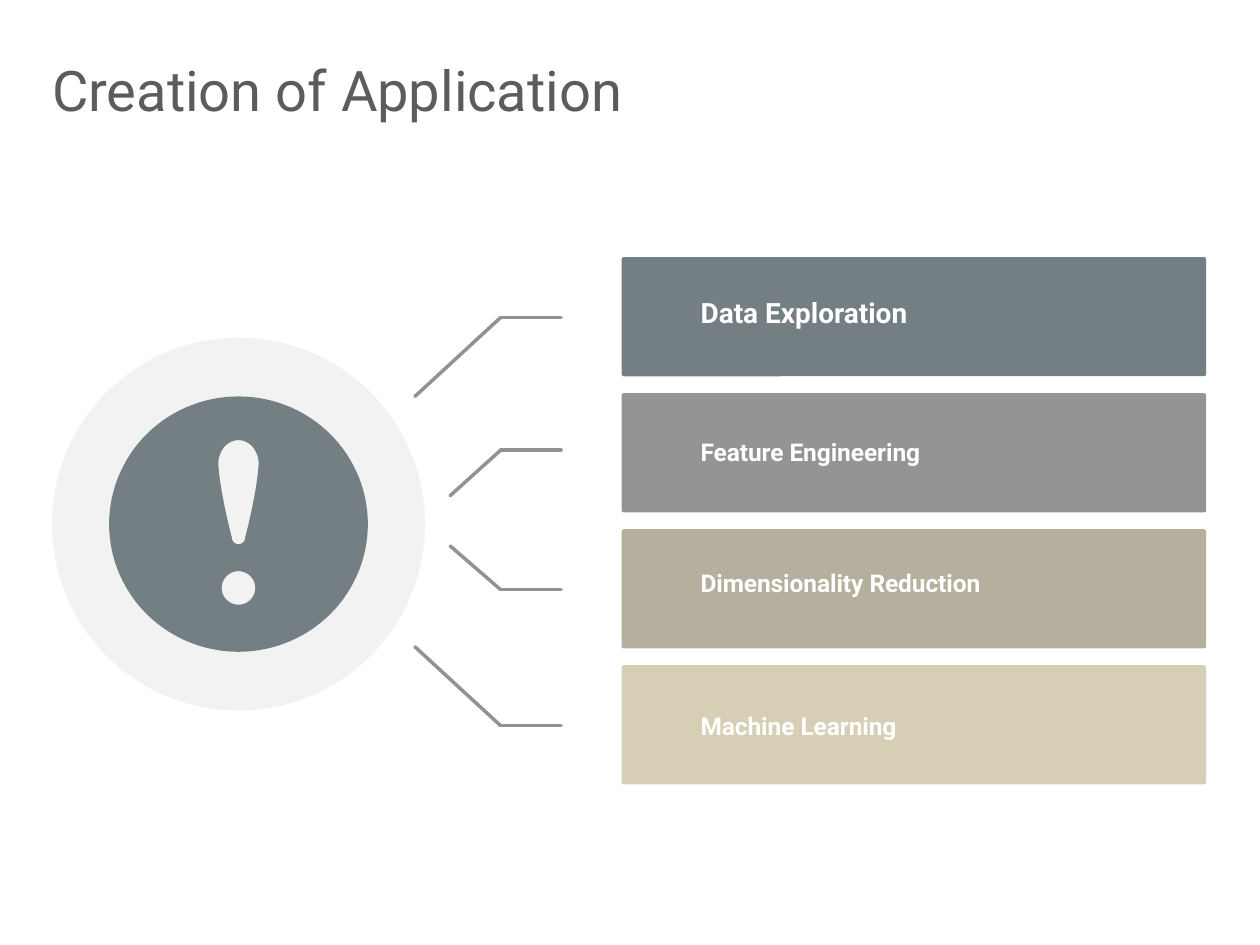
import math
import pptx
import pptx.dml.color
import pptx.enum.shapes
import pptx.enum.text
import pptx.oxml
import pptx.oxml.ns
import pptx.util

Inches = pptx.util.Inches
SHAPE = pptx.enum.shapes.MSO_SHAPE
FIT = pptx.enum.text.MSO_AUTO_SIZE
WIDE = 7.5
HIGH = WIDE * 3 / 4
FRAME = {
    "margin_left": 0,
    "margin_top": 0,
    "margin_right": 0,
    "margin_bottom": 0,
    "word_wrap": True,
    "vertical_anchor": pptx.enum.text.MSO_ANCHOR.MIDDLE,
}
SLATE, PALE, GRAY = "747F83", "F2F2F2", "929292"
BARS = [
    ("Data Exploration", SLATE, 12, 0.23, 0.2),
    ("Feature Engineering", "949494", 10.5, 0.26, 0.18),
    ("Dimensionality Reduction", "B6AF9D", 10.5, 0.23, 0.18),
    ("Machine Learning", "D6CEB5", 10.5, 0.27, 0.18),
]
LEADS = [(1.89, 2.47, 2.36), (2.68, 2.68, 2.95), (3.51, 2.68, 3.25), (4.32, 2.47, 3.85)]


def color(code):
    return pptx.dml.color.RGBColor.from_string(code)


def apply(target, values):
    for name, value in values.items():
        setattr(target, name, value)


def place(shape, box):
    names = ("left", "top", "width", "height")
    apply(shape, {name: Inches(size) for name, size in zip(names, box)})


def write(shape, text, size, code, bold, fit):
    frame = shape.text_frame
    apply(frame, {**FRAME, "auto_size": fit})
    line = frame.paragraphs[0]
    line.alignment = pptx.enum.text.PP_ALIGN.LEFT
    run = line.add_run()
    run.text = text
    apply(run.font, {"name": "Roboto", "size": pptx.util.Pt(size), "bold": bold})
    run.font.color.rgb = color(code)


def paint(shape, code):
    shape.shadow.inherit = False
    shape.fill.solid()
    shape.fill.fore_color.rgb = color(code)
    shape.line.fill.background()


def add_shape(slide, kind, box, code):
    shape = slide.shapes.add_shape(kind, *map(Inches, box))
    paint(shape, code)
    return shape


def arc(x, y, wide, high, start, end, steps):
    turns = [math.radians(start + (end - start) * i / steps) for i in range(steps + 1)]
    return [(x + wide * math.cos(t), y + high * math.sin(t)) for t in turns]


def drop(x, top):
    side = []
    for i in range(1, 12):
        part = i / 12
        side.append((0.12 - 0.08 * part ** 1.4, top + 0.14 + 0.44 * part))
    right = [(x + half, y) for half, y in side]
    left = [(x - half, y) for half, y in reversed(side)]
    crown = arc(x, top + 0.14, 0.12, 0.14, 180, 360, 24)
    tip = arc(x, top + 0.58, 0.04, 0.04, 0, 180, 12)
    return crown + right + tip + left


def add_title(slide, box):
    title = slide.shapes.title
    place(title, box)
    write(title, "Creation of Application", 24, "5C5C5C", False, FIT.NONE)


def add_badge(slide, box):
    left, top, width, height = box
    add_shape(slide, SHAPE.OVAL, box, PALE)
    x, y = left + width / 2, top + height / 2
    rings = [
        arc(x, y, 0.77, 0.76, 0, 360, 120),
        drop(x, top + 0.61),
        arc(x, top + 1.49, 0.1, 0.1, 0, 360, 40),
    ]
    pen = None
    for ring in rings:
        spots = [(Inches(a), Inches(b)) for a, b in ring]
        if pen is None:
            pen = slide.shapes.build_freeform(*spots[0])
        else:
            pen.move_to(*spots[0])
        pen.add_line_segments(spots[1:], close=True)
    paint(pen.convert_to_shape(), SLATE)


def add_bars(slide, box):
    left, top, width, height = box
    tall = 0.71
    step = (height - tall) / (len(BARS) - 1)
    for i, (text, code, size, drift, high) in enumerate(BARS):
        y = top + i * step
        bar = add_shape(slide, SHAPE.ROUNDED_RECTANGLE, (left, y, width, tall), code)
        bar.adjustments[0] = 0.02
        spot = (left + 0.47, y + drift, 2.58, high)
        label = slide.shapes.add_textbox(*map(Inches, spot))
        write(label, text, size, "FFFFFF", True, FIT.SHAPE_TO_FIT_TEXT)


def add_leads(slide, end, bend):
    group = slide.shapes.add_group_shape()
    for y, x, low in LEADS:
        for ends in ((end, y, bend, y), (bend, y, x, low)):
            link = group.shapes.add_connector(
                pptx.enum.shapes.MSO_CONNECTOR.STRAIGHT, *map(Inches, ends)
            )
            link.line.color.rgb = color(GRAY)
            link.line.width = pptx.util.Pt(1.5)
            props = link._element.spPr
            props.find(pptx.oxml.ns.qn("a:ln")).set("cap", "rnd")
            props.append(pptx.oxml.parse_xml(
                "<a:effectLst %s/>" % pptx.oxml.ns.nsdecls("a")
            ))


def main():
    deck = pptx.Presentation()
    apply(deck, {"slide_width": Inches(WIDE), "slide_height": Inches(HIGH)})
    slide = deck.slides.add_slide(deck.slide_layouts[5])
    add_title(slide, (0.31, 0.26, 6.86, 0.54))
    add_badge(slide, (0.31, 2.01, 2.22, 2.22))
    add_bars(slide, (3.7, 1.53, 3.48, 3.14))
    add_leads(slide, 3.34, 2.98)
    deck.save("out.pptx")


if __name__ == "__main__":
    main()
